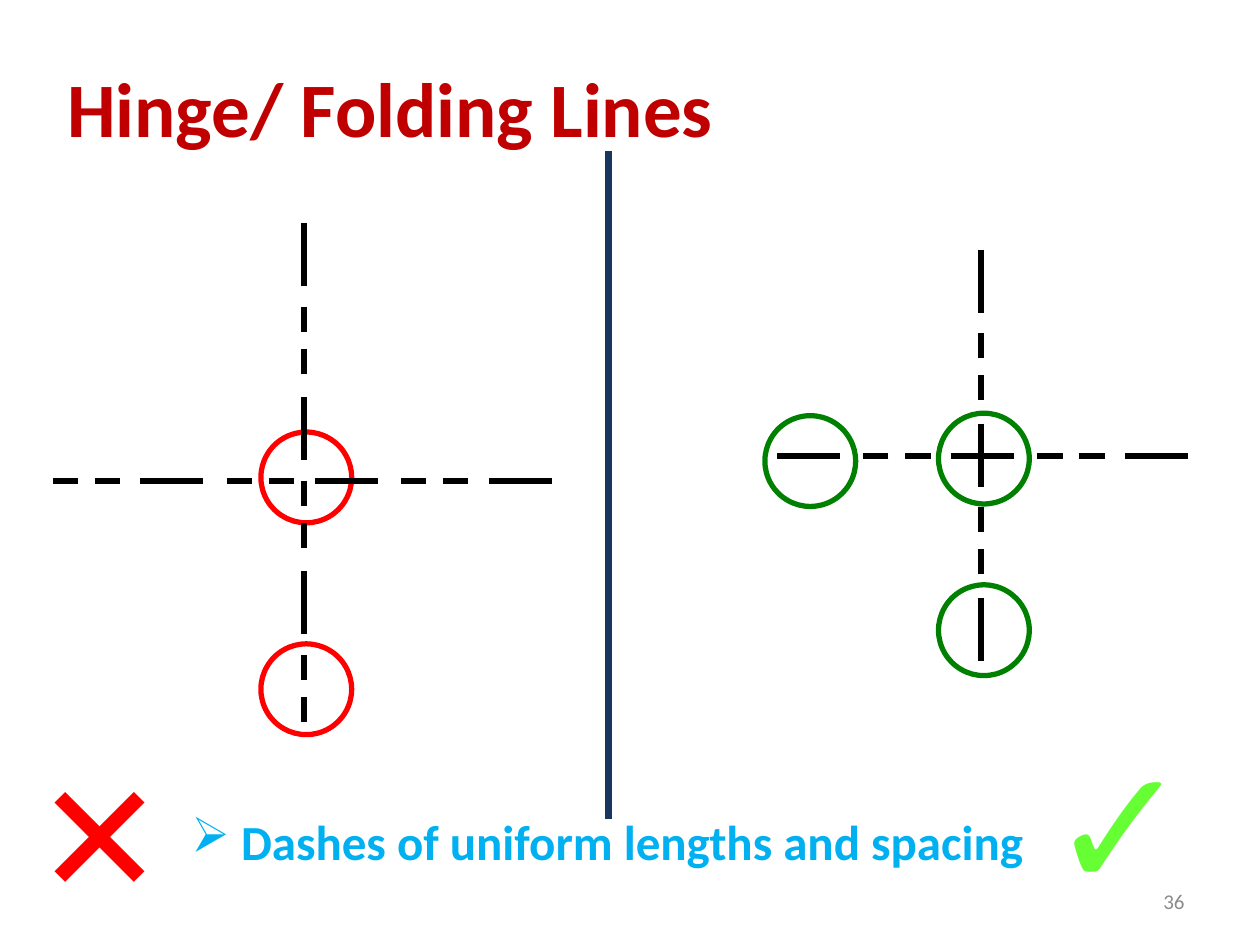
from itertools import cycle, islice

from lxml.etree import SubElement
from pptx import Presentation
from pptx.dml.color import RGBColor
from pptx.enum.shapes import MSO_CONNECTOR, MSO_SHAPE
from pptx.enum.text import MSO_ANCHOR, MSO_AUTO_SIZE, PP_ALIGN
from pptx.oxml.ns import qn
from pptx.util import Cm, Pt

COLORS = {
    "title": "C00000", "divider": "17375E", "wrong": "FF0000", "right": "008000",
    "check": "66FF33", "dash": "000000", "rule": "00B0F0", "number": "8C8C8C",
}
FONT = "Calibri"

TITLE = "Hinge/ Folding Lines"
TITLE_BOX = (0.97, 1.09, 23.5, 2.16)

# text, box (left, top, width, height), format
TEXTS = [
    ("✓", (20.9, 14.4, 3.2, 4.37), dict(size=96, color="check", wrap=False)),
    ("✕", (0.46, 14.78, 3.66, 4.01), dict(size=88, color="wrong", wrap=False)),
    ("Dashes of uniform lengths and spacing", (3.61, 16.23, 17.48, 1.45),
     dict(size=28, color="rule", bold=True, wrap=False, bullet="➢", indent=1.0)),
    ("36", (18.21, 17.65, 5.92, 1.02),
     dict(size=12, color="number", align=PP_ALIGN.RIGHT, anchor=MSO_ANCHOR.MIDDLE)),
]

# left, top, colour
CIRCLES = [
    (5.26, 8.71, "wrong"), (5.26, 12.98, "wrong"),
    (18.92, 8.33, "right"), (18.92, 11.79, "right"), (15.42, 8.38, "right"),
]
CIRCLE_SIZE = 1.83

# start x, start y, direction, number of dashes
DOWN, LEFTWARD = (0, 1), (-1, 0)
FOLD_LINES = [
    (6.12, 4.5, DOWN, 9), (11.12, 9.69, LEFTWARD, 9),
    (19.77, 5.03, DOWN, 7), (23.95, 9.19, LEFTWARD, 7),
]
# dash length, gap after it: one long and two short
DASHES = [(1.27, 0.41), (0.51, 0.34), (0.51, 0.47)]


def rgb(name):
    return RGBColor.from_string(COLORS[name])


def add_bullet(p, char, indent):
    pPr = p._p.get_or_add_pPr()
    pPr.set("marL", str(Cm(indent)))
    pPr.set("indent", str(-Cm(indent)))
    SubElement(pPr, qn("a:buChar"), char=char)


def write(sp, text, size, color, bold=False, align=PP_ALIGN.LEFT,
          anchor=MSO_ANCHOR.TOP, wrap=True, bullet=None, indent=0):
    tf = sp.text_frame
    tf.word_wrap = wrap
    tf.auto_size = MSO_AUTO_SIZE.NONE if wrap else MSO_AUTO_SIZE.SHAPE_TO_FIT_TEXT
    tf.vertical_anchor = anchor
    p = tf.paragraphs[0]
    p.alignment = align
    if bullet:
        add_bullet(p, bullet, indent)
    elif indent:
        p._p.get_or_add_pPr().set("marL", str(Cm(indent)))
    r = p.add_run()
    r.text = text
    r.font.name, r.font.size, r.font.bold = FONT, Pt(size), bold
    r.font.color.rgb = rgb(color)


def add_line(slide, x1, y1, x2, y2, color, width):
    line = slide.shapes.add_connector(
        MSO_CONNECTOR.STRAIGHT, Cm(x1), Cm(y1), Cm(x2), Cm(y2))
    line.line.color.rgb = rgb(color)
    line.line.width = Pt(width)
    SubElement(line._element.spPr, qn("a:effectLst"))


def add_circle(slide, left, top, color):
    sp = slide.shapes.add_shape(
        MSO_SHAPE.OVAL, Cm(left), Cm(top), Cm(CIRCLE_SIZE), Cm(CIRCLE_SIZE))
    sp.shadow.inherit = False
    sp.fill.background()
    sp.line.color.rgb = rgb(color)
    sp.line.width = Pt(3)


def add_fold_line(slide, x, y, direction, count):
    """Lay out long-short-short dashes one after another from (x, y)."""
    dx, dy = direction
    for dash, gap in islice(cycle(DASHES), count):
        add_line(slide, x, y, x + dx * dash, y + dy * dash, "dash", 3.5)
        x += dx * (dash + gap)
        y += dy * (dash + gap)


def main():
    prs = Presentation()
    prs.slide_width, prs.slide_height = Cm(25.4), Cm(19.05)
    slide = prs.slides.add_slide(prs.slide_layouts[5])

    title = slide.shapes.title
    title.left, title.top, title.width, title.height = map(Cm, TITLE_BOX)
    write(title, TITLE, size=44, color="title", bold=True, indent=0.13)

    add_line(slide, 12.27, 3.05, 12.27, 16.51, "divider", 4)
    for circle in CIRCLES:
        add_circle(slide, *circle)
    for fold_line in FOLD_LINES:
        add_fold_line(slide, *fold_line)
    for text, box, style in TEXTS:
        write(slide.shapes.add_textbox(*map(Cm, box)), text, **style)

    prs.save("out.pptx")


if __name__ == "__main__":
    main()
